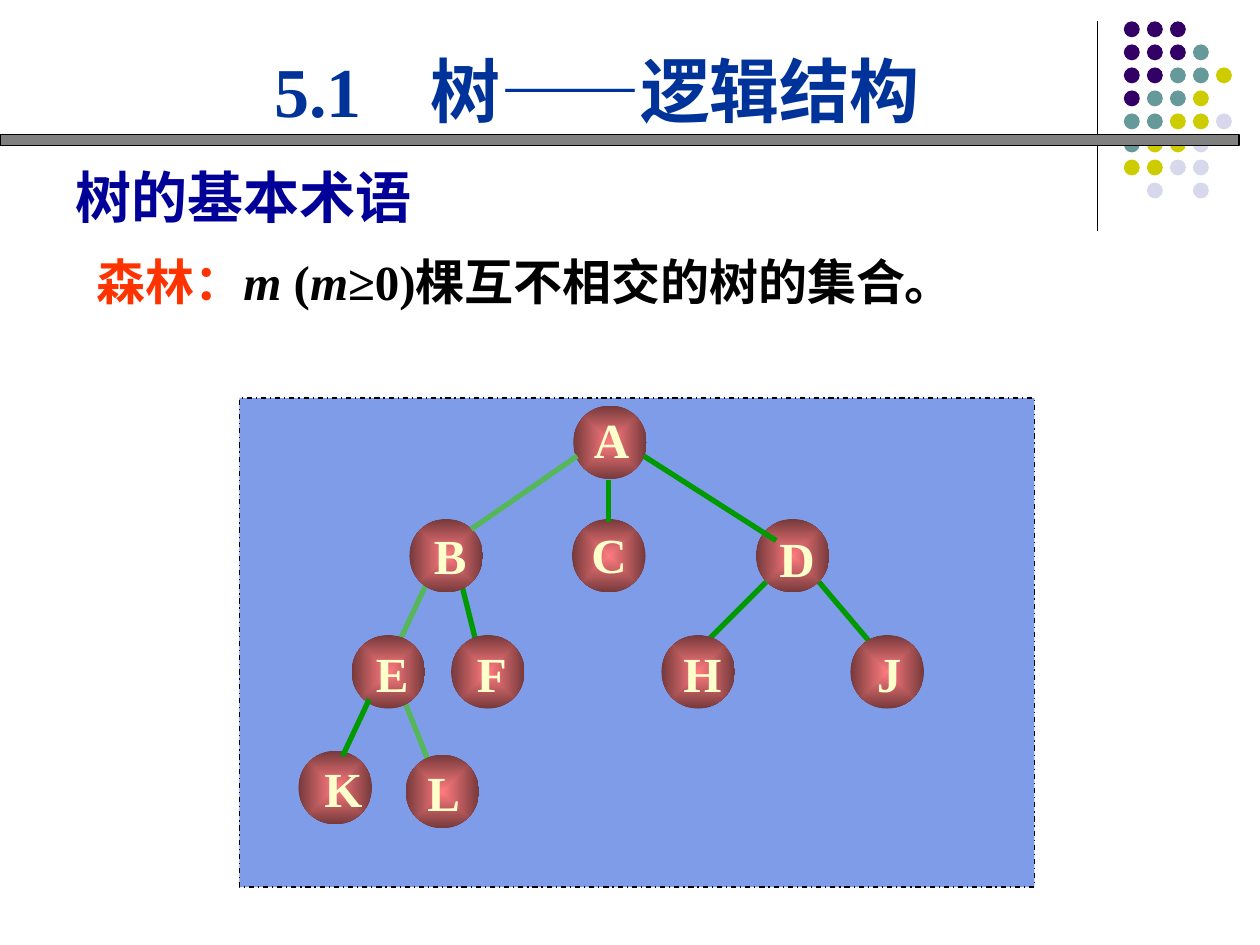
from dataclasses import dataclass

import pptx
import pptx.util
from pptx.dml.color import RGBColor
from pptx.enum.dml import MSO_LINE
from pptx.enum.shapes import MSO_CONNECTOR, MSO_SHAPE
from pptx.enum.text import MSO_ANCHOR, PP_ALIGN
from pptx.oxml.ns import qn
from lxml import etree

Pt = pptx.util.Pt


@dataclass(frozen=True)
class Theme:
    black: str = "000000"
    bar: str = "808080"
    panel: str = "7E9CE8"
    node_center: str = "FF7C80"
    node_rim: str = "76393B"
    node_label: str = "FFFFCC"
    edge: str = "009900"
    light_edge: str = "55B75A"
    title: str = "003399"
    heading: str = "000099"
    term: str = "FF3300"
    serif: str = "Times New Roman"
    sans: str = "Arial"
    title_size: float = 40
    heading_size: float = 32
    body_size: float = 28
    thin: float = 0.75
    thick: float = 3


THEME = Theme()
NODE_SIZE = 42
DOT_SIZE = 9.1
DOT_PITCH = 13.16
DOT_ORIGIN = (642.2, 12.2)
DOT_COLORS = {"P": "330066", "T": "669999", "Y": "CCCC00", "L": "D8D8EC"}
DOT_ROWS = ("PPP", "PPPT", "PPTTY", "PTTY", "TTYYL", "TYYL", "YYLL", " L L")


@dataclass(frozen=True)
class Span:
    text: str
    color: str
    size: float = THEME.body_size
    font: str = THEME.serif
    italic: bool = False


@dataclass(frozen=True)
class Node:
    """A tree node; the shifts move its letter off the circle's centre."""
    name: str
    left: float
    top: float
    shift_x: float = 2.2
    shift_y: float = 0.4


@dataclass(frozen=True)
class Edge:
    x1: float
    y1: float
    x2: float
    y2: float
    color: str = THEME.edge


LEVEL_2, LEVEL_3 = 296.6, 362.9
ROOT = Node("A", 327.6, 231.8, 0.7, -1.8)
NODES = (
    Node("B", 234, LEVEL_2, shift_y=-0.4),
    Node("C", 326.9, LEVEL_2, 0, -1.1),
    Node("D", 432, LEVEL_2, shift_y=1.1),
    Node("E", 200.9, LEVEL_3),
    Node("F", 257.8, LEVEL_3),
    Node("H", 378, LEVEL_3, 1.4),
    Node("J", 486, LEVEL_3, 1.1),
    Node("K", 170.6, 429.1, 3.6),
    Node("L", 231.8, 431.3, 0.7),
)
EDGES_BEHIND_NODES = (
    Edge(468, 332.6, 504, 375.1),
    Edge(437.8, 332.6, 401.8, 368.6),
    Edge(263.5, 332.6, 274.3, 375.8),
    Edge(230.4, 398.9, 244.8, 434.9, THEME.light_edge),
    Edge(244.1, 332.6, 229, 365, THEME.light_edge),
)
EDGES_OVER_NODES = (
    Edge(211, 399.6, 195.8, 432),
    Edge(367.9, 260.6, 443.5, 308.9),
    Edge(329.8, 260.6, 269.3, 302.4, THEME.light_edge),
    Edge(347.8, 274.3, 347.8, 298.1),
)


def rgb(color: str) -> RGBColor:
    return RGBColor.from_string(color)


def add_shape(page, kind, left: float, top: float, width: float, height: float,
              fill: str, line: str | None = None):
    shape = page.shapes.add_shape(kind, Pt(left), Pt(top), Pt(width), Pt(height))
    shape.shadow.inherit = False
    shape.fill.solid()
    shape.fill.fore_color.rgb = rgb(fill)
    if line is None:
        shape.line.fill.background()
    else:
        shape.line.color.rgb = rgb(line)
        shape.line.width = Pt(THEME.thin)
    return shape


def add_line(page, edge: Edge, width: float) -> None:
    line = page.shapes.add_connector(MSO_CONNECTOR.STRAIGHT, Pt(edge.x1), Pt(edge.y1),
                                     Pt(edge.x2), Pt(edge.y2))
    line.line.color.rgb = rgb(edge.color)
    line.line.width = Pt(width)
    etree.SubElement(line._element.spPr, qn("a:effectLst"))


def add_text(page, left: float, top: float, width: float, height: float,
             spans: list[Span], wrap: bool = True):
    """Add a one-paragraph text box and return its paragraph."""
    box = page.shapes.add_textbox(Pt(left), Pt(top), Pt(width), Pt(height))
    box.text_frame.word_wrap = wrap
    para = box.text_frame.paragraphs[0]
    for item in spans:
        span = para.add_run()
        span.text = item.text
        span.font.name = item.font
        span.font.size = Pt(item.size)
        span.font.bold = True
        span.font.italic = item.italic
        span.font.color.rgb = rgb(item.color)
    if not wrap:
        box.text_frame.vertical_anchor = MSO_ANCHOR.MIDDLE
        para.alignment = PP_ALIGN.CENTER
    return para


def add_tab_stop(para, position: float) -> None:
    tabs = etree.SubElement(para._p.get_or_add_pPr(), qn("a:tabLst"))
    etree.SubElement(tabs, qn("a:tab"), pos=str(int(Pt(position))), algn="l")


def add_circle(page, node: Node) -> None:
    """Draw a node's circle, shaded from its centre to its rim."""
    circle = add_shape(page, MSO_SHAPE.OVAL, node.left, node.top, NODE_SIZE, NODE_SIZE,
                       THEME.node_center)
    circle.fill.gradient()
    stops = circle.fill.gradient_stops
    for stop, color, position in zip(stops, (THEME.node_center, THEME.node_rim), (0, 1)):
        stop.color.rgb = rgb(color)
        stop.position = position
    gradient = circle._element.spPr.find(qn("a:gradFill"))
    gradient.remove(gradient.find(qn("a:lin")))
    shade = etree.SubElement(gradient, qn("a:path"), path="rect")
    etree.SubElement(shade, qn("a:fillToRect"), l="50000", t="50000", r="50000", b="50000")


def add_label(page, node: Node) -> None:
    width, height = 34, 41
    add_text(page, node.left + (NODE_SIZE - width) / 2 + node.shift_x,
             node.top + (NODE_SIZE - height) / 2 + node.shift_y,
             width, height, [Span(node.name, THEME.node_label)], wrap=False)


def add_decoration(page) -> None:
    add_line(page, Edge(627.1, 12.2, 627.1, 131.8, THEME.black), THEME.thin)
    for row, keys in enumerate(DOT_ROWS):
        for column, key in enumerate(keys):
            if key in DOT_COLORS:
                add_shape(page, MSO_SHAPE.OVAL, DOT_ORIGIN[0] + column * DOT_PITCH,
                          DOT_ORIGIN[1] + row * DOT_PITCH, DOT_SIZE, DOT_SIZE,
                          DOT_COLORS[key])
    add_shape(page, MSO_SHAPE.RECTANGLE, 0, 77, 708, 6, THEME.bar, THEME.black)


def add_tree(page) -> None:
    panel = add_shape(page, MSO_SHAPE.RECTANGLE, 136.8, 227.5, 454.3, 279.4,
                      THEME.panel, THEME.black)
    panel.line.dash_style = MSO_LINE.DASH_DOT
    for edge in EDGES_BEHIND_NODES:
        add_line(page, edge, THEME.thick)
    for draw in (add_circle, add_label):
        for node in (*NODES, ROOT):
            draw(page, node)
    for edge in EDGES_OVER_NODES:
        add_line(page, edge, THEME.thick)


def add_headings(page) -> None:
    definition = add_text(page, 48.2, 136.8, 624.2, 44.6, [
        Span("森林：", THEME.term),
        Span("m", THEME.black, italic=True),
        Span(" (", THEME.black),
        Span("m", THEME.black, italic=True),
        Span("≥0)棵互不相交的树的集合。", THEME.black),
    ])
    definition.line_spacing = 1.1
    title = add_text(page, 149.8, 23.8, 391, 55.4,
                     [Span("5.1\t树——逻辑结构", THEME.title, THEME.title_size)])
    add_tab_stop(title, 89)
    title.alignment = PP_ALIGN.JUSTIFY
    add_text(page, 36, 89.3, 311.8, 46.1,
             [Span("树的基本术语", THEME.heading, THEME.heading_size, THEME.sans)])


def main() -> None:
    deck = pptx.Presentation()
    deck.slide_width, deck.slide_height = Pt(720), Pt(540)
    page = deck.slides.add_slide(deck.slide_layouts[6])
    add_decoration(page)
    add_tree(page)
    add_headings(page)
    deck.save("out.pptx")


if __name__ == "__main__":
    main()
